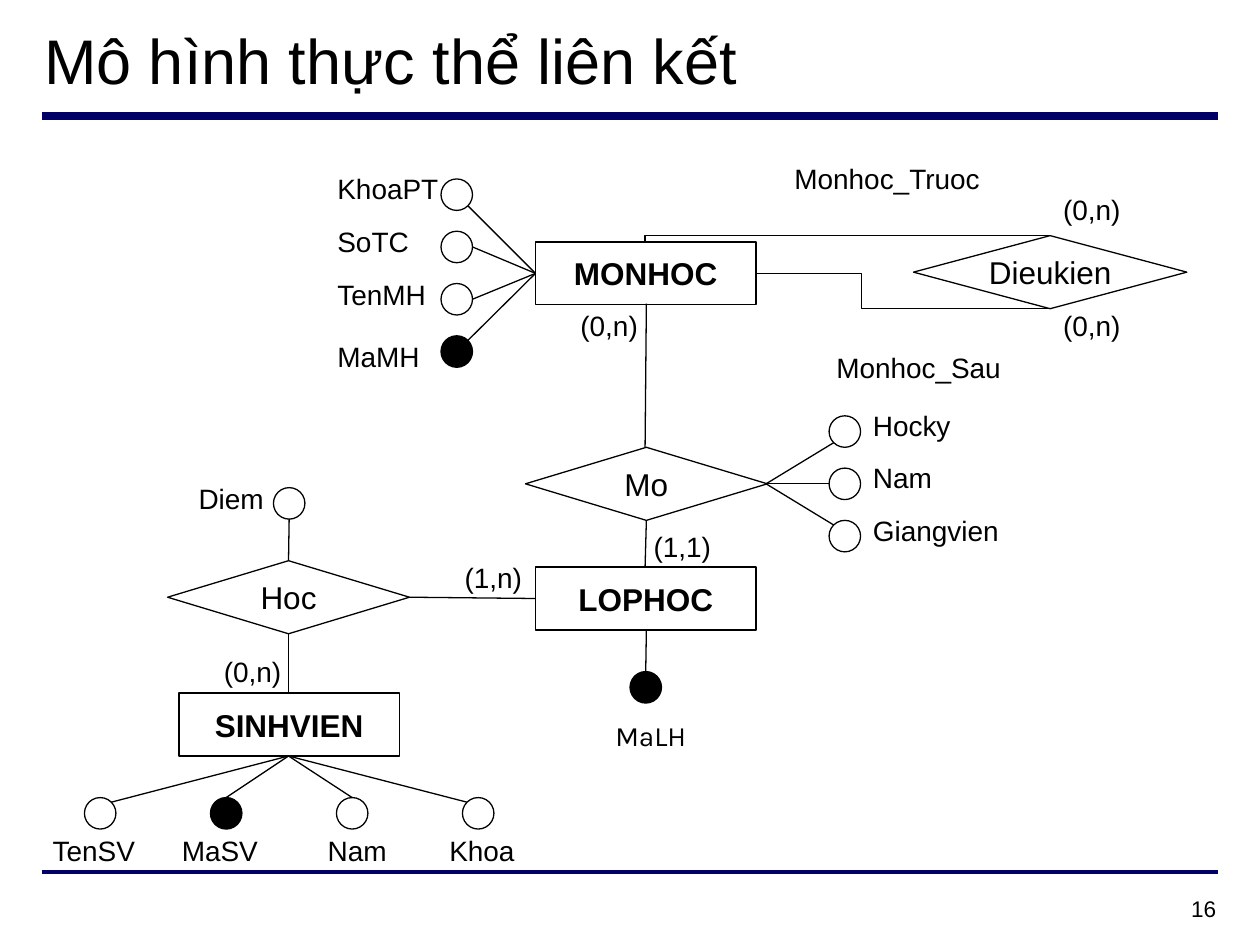
"""Build the entity-relationship model slide."""
import math

import lxml.etree
import pptx
import pptx.dml.color
import pptx.enum.shapes
import pptx.enum.text
import pptx.oxml.ns
import pptx.util

Inches = pptx.util.Inches
SHAPE = pptx.enum.shapes.MSO_SHAPE
CONNECTOR = pptx.enum.shapes.MSO_CONNECTOR
ALIGN = pptx.enum.text.PP_ALIGN
ANCHOR = pptx.enum.text.MSO_ANCHOR
COLORS = {"ink": "000000", "rule": "000066"}


def color(name):
    return pptx.dml.color.RGBColor.from_string(COLORS[name])


def write(box, text, size=16, font="Arial", bold=False, align=ALIGN.CENTER,
          anchor=ANCHOR.MIDDLE, wrap=False):
    frame = box.text_frame
    frame.word_wrap = wrap
    frame.auto_size = pptx.enum.text.MSO_AUTO_SIZE.NONE
    frame.vertical_anchor = anchor
    para = frame.paragraphs[0]
    para.alignment = align
    span = para.add_run()
    span.text = text
    span.font.size = pptx.util.Pt(size)
    span.font.name = font
    span.font.bold = bold
    span.font.color.rgb = color("ink")
    return para


class Diagram:
    """Draws entities, relationships, attributes and links on one slide."""

    line_width = 0.75
    dot = 0.25
    label_height = 0.33

    def __init__(self, page):
        self.page = page

    def title(self, text):
        box = self.page.shapes.title
        box.left, box.top = Inches(0.25), Inches(0.12)
        box.width, box.height = Inches(9.5), Inches(0.7)
        write(box, text, size=36, align=ALIGN.LEFT, wrap=True)

    def label(self, text, left, top, width=0.83, height=label_height, **style):
        box = self.page.shapes.add_textbox(
            Inches(left), Inches(top), Inches(width), Inches(height))
        return write(box, text, **style)

    def outline(self, kind, left, top, width, height, filled=False):
        shape = self.page.shapes.add_shape(
            kind, Inches(left), Inches(top), Inches(width), Inches(height))
        shape.shadow.inherit = False
        if filled:
            shape.fill.solid()
            shape.fill.fore_color.rgb = color("ink")
        else:
            shape.fill.background()
        shape.line.color.rgb = color("ink")
        shape.line.width = pptx.util.Pt(self.line_width)
        return shape

    def entity(self, name, left, top):
        write(self.outline(SHAPE.RECTANGLE, left, top, 1.75, 0.5),
              name, size=18, bold=True)

    def relationship(self, name, left, top, width=1.92):
        write(self.outline(SHAPE.DIAMOND, left, top, width, 0.58),
              name, size=18)

    def link(self, start, end, ink="ink", width=line_width, bend=None):
        kind = CONNECTOR.STRAIGHT if bend is None else CONNECTOR.ELBOW
        line = self.page.shapes.add_connector(
            kind, *(Inches(value) for value in start + end))
        line.line.color.rgb = color(ink)
        line.line.width = pptx.util.Pt(width)
        qualified = pptx.oxml.ns.qn
        properties = line._element.spPr
        lxml.etree.SubElement(properties, qualified("a:effectLst"))
        if bend is not None:
            guides = properties.find(
                qualified("a:prstGeom")).find(qualified("a:avLst"))
            lxml.etree.SubElement(guides, qualified("a:gd"), name="adj1",
                                  fmla=f"val {round(bend * 100000)}")

    def attribute(self, name, left, top, angle, target, label_at,
                  key=False, label_width=0.83, **style):
        self.outline(SHAPE.OVAL, left, top, self.dot, self.dot, filled=key)
        radius = self.dot / 2
        edge = (left + radius + radius * math.cos(math.radians(angle)),
                top + radius + radius * math.sin(math.radians(angle)))
        self.link(edge, target)
        self.label(name, *label_at, width=label_width, **style)


def main():
    deck = pptx.Presentation()
    deck.slide_width, deck.slide_height = Inches(10), Inches(7.5)
    diagram = Diagram(deck.slides.add_slide(deck.slide_layouts[5]))

    for top, width in ((0.92, 4.5), (6.92, 2.25)):
        diagram.link((0.33, top), (9.67, top), ink="rule", width=width)
    diagram.title("Mô hình thực thể liên kết")

    for name, left, top in (("SINHVIEN", 1.42, 5.5), ("MONHOC", 4.25, 1.92),
                            ("LOPHOC", 4.25, 4.5)):
        diagram.entity(name, left, top)
    diagram.relationship("Hoc", 1.33, 4.45)
    diagram.relationship("Mo", 4.17, 3.55)
    diagram.relationship("Dieukien", 7.25, 1.87, width=2.17)

    student = (("TenSV", -45, 0.33), ("MaSV", -90, 1.33),
               ("Nam", -90, 2.42), ("Khoa", -135, 3.41))
    for column, (name, angle, label_left) in enumerate(student):
        diagram.attribute(name, 0.67 + column, 6.33, angle, (2.29, 6),
                          (label_left, 6.58), key=name == "MaSV")

    subject = (("KhoaPT", 45, 1.33), ("SoTC", 0, 1.75),
               ("TenMH", 0, 2.17), ("MaMH", -45, 2.66))
    for row, (name, angle, label_top) in enumerate(subject):
        diagram.attribute(name, 3.5, 1.42 + row * 0.415, angle, (4.25, 2.17),
                          (2.58, label_top), key=name == "MaMH",
                          align=ALIGN.LEFT)

    opening = (("Hocky", 135, 0.83), ("Nam", 180, 0.83),
               ("Giangvien", -135, 1.17))
    for row, (name, angle, width) in enumerate(opening):
        top = 3.3 + row * 0.415
        diagram.attribute(name, 6.58, top, angle, (6.08, 3.84),
                          (6.83, top - 0.09), label_width=width,
                          align=ALIGN.LEFT)

    diagram.attribute("Diem", 2.17, 3.87, 90, (2.29, 4.45), (1.42, 3.79))
    diagram.attribute("MaLH", 5, 5.33, -90, (5.13, 5), (4.75, 5.67),
                      key=True, font="Karla")

    for start, end in (((2.29, 5.5), (2.29, 5.03)),
                       ((4.25, 4.75), (3.25, 4.74)),
                       ((5.12, 3.55), (5.13, 2.41)),
                       ((5.12, 4.5), (5.13, 4.13))):
        diagram.link(start, end)
    diagram.link((8.33, 1.87), (5.12, 1.92), bend=1)
    diagram.link((8.33, 2.45), (6, 2.17), bend=0.64)

    diagram.label("Monhoc_Truoc", 6.25, 1.25, width=1.58)
    diagram.label("Monhoc_Sau", 6.5, 2.75, width=1.58)
    for text, left, top in (("(0,n)", 1.67, 5.16), ("(1,n)", 3.58, 4.42),
                            ("(0,n)", 4.5, 2.42), ("(1,1)", 5.08, 4.17),
                            ("(0,n)", 8.33, 2.42), ("(0,n)", 8.33, 1.5)):
        diagram.label(text, left, top, width=0.67)

    number = diagram.label("16", 7.42, 7.08, width=2.33, height=0.34, size=12.9,
                           align=ALIGN.RIGHT, anchor=ANCHOR.TOP, wrap=True)
    number.line_spacing = 0.9
    deck.save("out.pptx")


if __name__ == "__main__":
    main()
